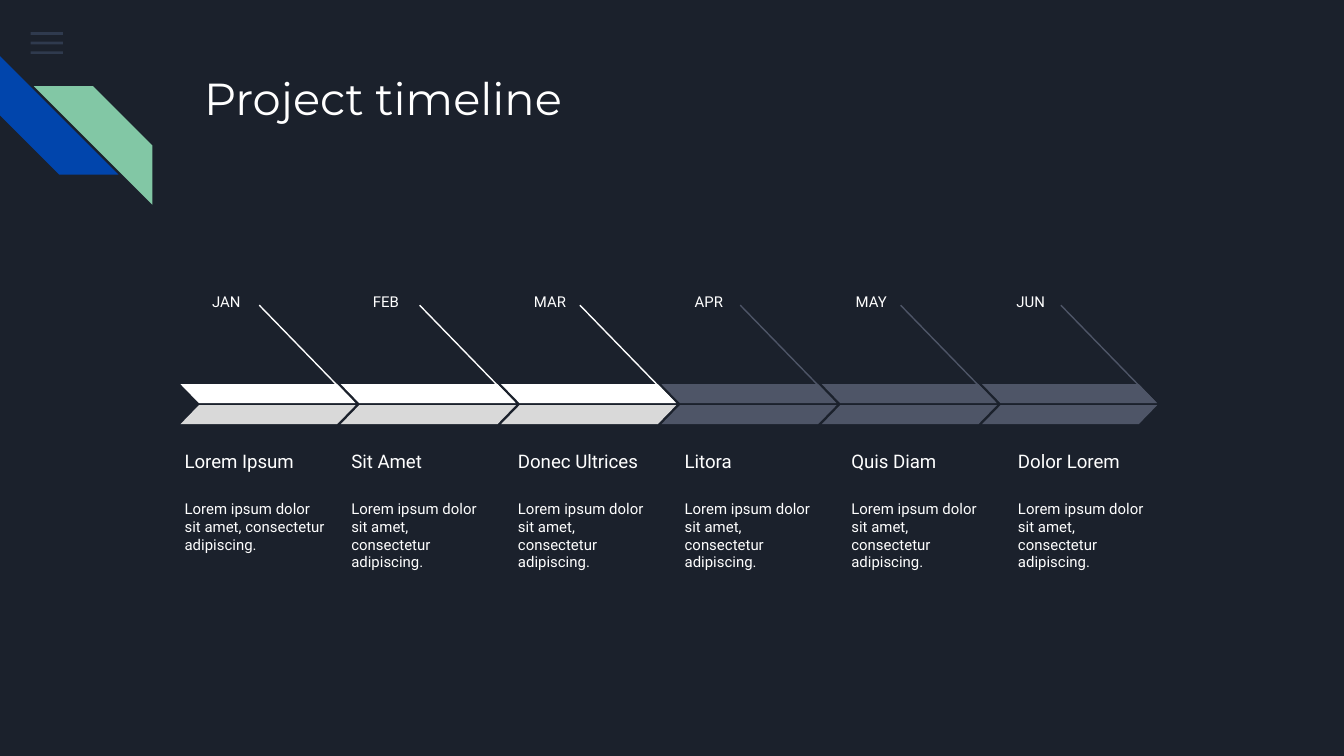
from lxml.etree import SubElement
from pptx import Presentation
from pptx.dml.color import RGBColor
from pptx.enum.shapes import MSO_CONNECTOR as Connector, MSO_SHAPE as Shape
from pptx.enum.text import MSO_ANCHOR as Anchor, MSO_AUTO_SIZE as AutoSize, PP_ALIGN as Align
from pptx.oxml.ns import qn
from pptx.util import Cm, Pt

COLORS = {
    "background": "1B212C",
    "menu": "55688B",
    "blue": "0145AC",
    "green": "82C7A5",
    "white": "FFFFFF",
    "gray": "D9D9D9",
    "pending": "4E5567",
}
STEPS = [
    ("JAN", "Lorem Ipsum"),
    ("FEB", "Sit Amet"),
    ("MAR", "Donec Ultrices"),
    ("APR", "Litora"),
    ("MAY", "Quis Diam"),
    ("JUN", "Dolor Lorem"),
]
DETAIL = "Lorem ipsum dolor sit amet, consectetur adipiscing."
DONE_STEPS = 3
ARROW_PITCH = 3.03
LABEL_PITCH = 3.04
TEXT_PITCH = 3.15


def color(name):
    return RGBColor.from_string(COLORS[name])


def add_filled(slide, kind, left, top, width, height, fill, flip=False, adjust=None):
    shape = slide.shapes.add_shape(kind, Cm(left), Cm(top), Cm(width), Cm(height))
    shape.shadow.inherit = False
    shape.fill.solid()
    shape.fill.fore_color.rgb = color(fill)
    shape.line.fill.background()
    if adjust is not None:
        shape.adjustments[0] = adjust
    if flip:
        shape._element.spPr.find(qn("a:xfrm")).set("flipH", "1")
    return shape


def set_alpha(shape, percent):
    rgb = shape._element.spPr.find(qn("a:solidFill")).find(qn("a:srgbClr"))
    SubElement(rgb, qn("a:alpha")).set("val", str(percent * 1000))


def write_text(shape, text, size, font, anchor=Anchor.TOP, space_after=0):
    frame = shape.text_frame
    frame.word_wrap = True
    frame.auto_size = AutoSize.NONE
    frame.vertical_anchor = anchor
    frame.margin_left = frame.margin_right = Cm(0.25)
    frame.margin_top = frame.margin_bottom = Cm(0.25)
    paragraph = frame.paragraphs[0]
    paragraph.alignment = Align.LEFT
    paragraph.line_spacing = 1.0
    paragraph.space_before = Pt(0)
    paragraph.space_after = Pt(space_after)
    run = paragraph.add_run()
    run.text = text
    run.font.size = Pt(size)
    run.font.name = font
    run.font.color.rgb = color("white")


def add_text(slide, left, top, width, height, text, size, **options):
    box = slide.shapes.add_textbox(Cm(left), Cm(top), Cm(width), Cm(height))
    write_text(box, text, size, "Roboto", **options)


def add_line(slide, start, end, stroke):
    line = slide.shapes.add_connector(
        Connector.STRAIGHT, *(Cm(value) for value in (*start, *end)))
    line.line.color.rgb = color(stroke)
    line.line.width = Pt(0.75)
    SubElement(line._element.spPr, qn("a:effectLst"))


def add_decoration(slide):
    # Menu icon
    for row in range(3):
        bar = add_filled(slide, Shape.RECTANGLE, 0.58, 0.61 + 0.18 * row, 0.61, 0.05, "menu")
        set_alpha(bar, 36)
    # Diagonal stripes
    stripe = add_filled(slide, Shape.DIAGONAL_STRIPE, 0, 1.06, 2.24, 2.24, "blue", adjust=0.5)
    stripe.rotation = 270
    add_filled(slide, Shape.DIAGONAL_STRIPE, 0.64, 1.63, 2.24, 2.24, "green",
               flip=True, adjust=0.5)


def add_title(slide):
    title = slide.shapes.title
    title.left, title.top, title.width, title.height = Cm(3.61), Cm(1.09), Cm(19.56), Cm(2.54)
    write_text(title, "Project timeline", 24, "Montserrat")


def add_step_text(slide, index, month, heading):
    left = 3.24 + TEXT_PITCH * index
    width = 3.25 if index == 0 else 3.15
    add_text(slide, 3.76 + LABEL_PITCH * index, 5.28, 1.5, 0.58, month, 8)
    add_text(slide, left, 8.05, width, 1.12, heading, 10, anchor=Anchor.BOTTOM)
    add_text(slide, left, 9.19, width, 1.85, DETAIL, 8, space_after=16)


def add_step_arrow(slide, index):
    offset = ARROW_PITCH * index
    done = index < DONE_STEPS
    upper, lower = ("white", "gray") if done else ("pending", "pending")
    add_line(slide, (4.9 + offset, 5.77), (6.68 + offset, 7.6), upper)
    for top, fill, flip in ((7.26, upper, True), (7.66, lower, False)):
        add_filled(slide, Shape.PARALLELOGRAM, 3.41 + offset, top, 3.31, 0.36, fill,
                   flip=flip, adjust=0.97)


def main():
    presentation = Presentation()
    presentation.slide_width, presentation.slide_height = Cm(25.4), Cm(14.29)
    slide = presentation.slides.add_slide(presentation.slide_layouts[5])
    slide.background.fill.solid()
    slide.background.fill.fore_color.rgb = color("background")

    add_decoration(slide)
    add_title(slide)
    # Month labels and descriptions, then the arrow band
    for index, (month, heading) in enumerate(STEPS):
        add_step_text(slide, index, month, heading)
    for index in range(len(STEPS)):
        add_step_arrow(slide, index)
    presentation.save("out.pptx")


if __name__ == "__main__":
    main()
